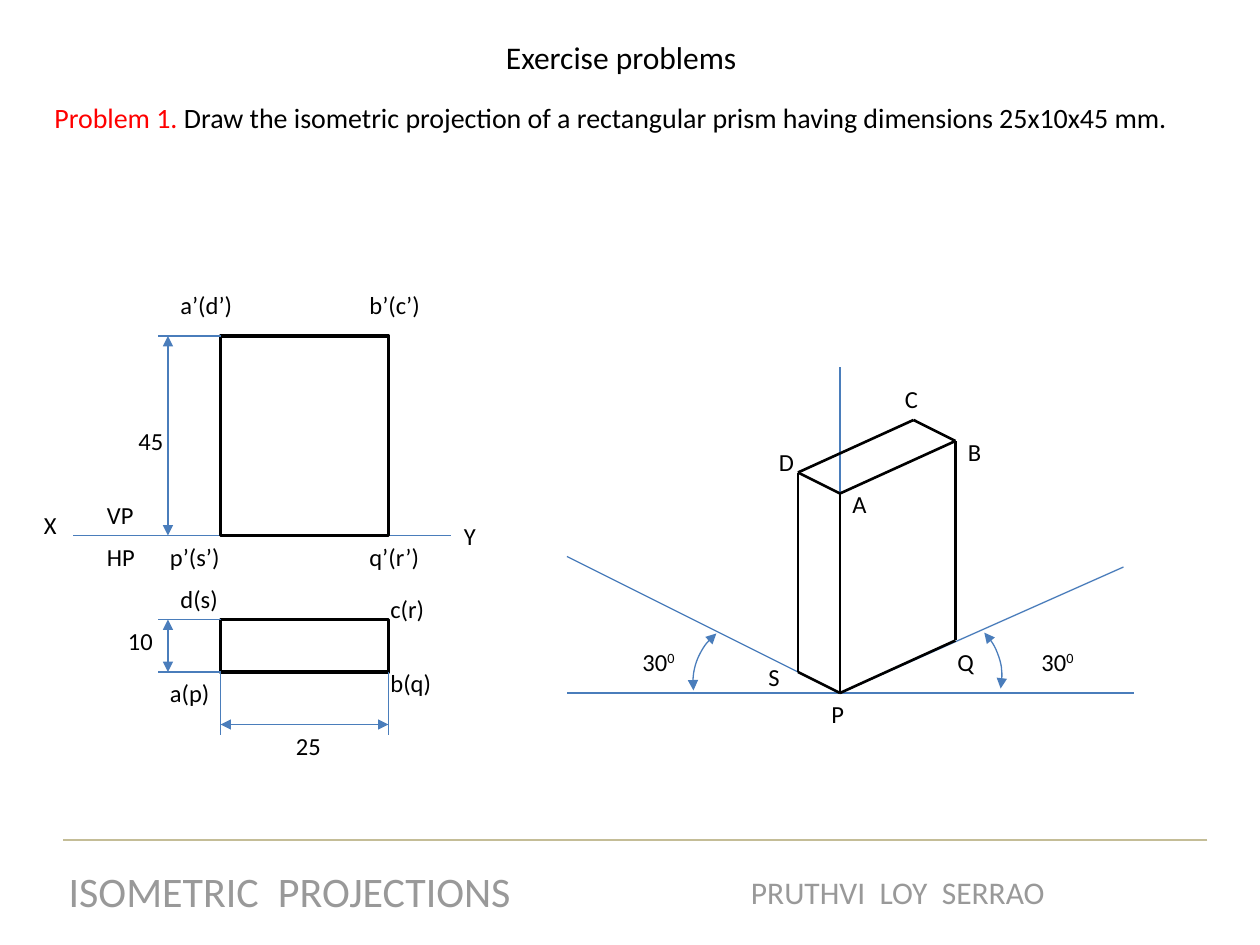
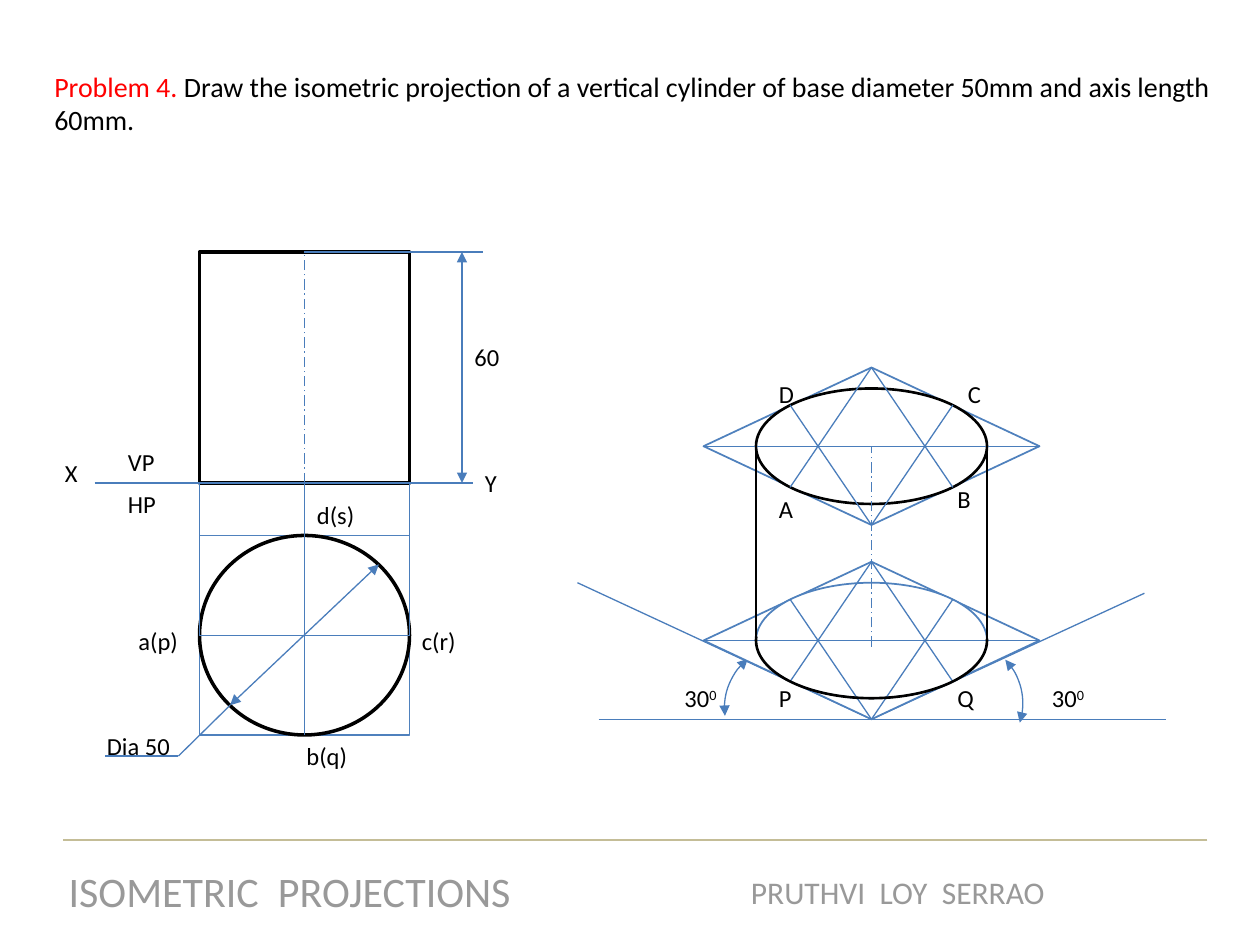
from dataclasses import dataclass

from lxml.etree import SubElement
from pptx import Presentation
from pptx.dml.color import RGBColor
from pptx.enum.dml import MSO_LINE
from pptx.enum.shapes import MSO_CONNECTOR, MSO_SHAPE
from pptx.enum.text import PP_ALIGN
from pptx.oxml.ns import qn
from pptx.shapes.base import BaseShape
from pptx.slide import Slide
from pptx.util import Pt

Point = tuple[float, float]
Frame = tuple[float, float, float, float]

COLORS = {
    "ink": "000000",
    "paper": "FFFFFF",
    "guide": "4A7DBB",
    "outline": "4F81BD",
    "problem": "FF0000",
    "footer": "999999",
    "footer_rule": "C4BD97",
}
FONT = "Calibri"
LABEL_HEIGHT = 24.5


@dataclass(frozen=True)
class Span:
    text: str
    color: str = "ink"
    raised: bool = False
    spacing: float = 0


@dataclass(frozen=True)
class Label:
    text: str
    left: float
    top: float
    width: float = 24
    raised: str = ""


@dataclass(frozen=True)
class Line:
    start: Point
    end: Point
    color: str = "guide"
    weight: float = 0.75
    arrows: bool = False
    dashed: bool = False


@dataclass(frozen=True)
class Figure:
    kind: MSO_SHAPE
    frame: Frame
    color: str = "ink"
    weight: float = 2


@dataclass(frozen=True)
class Arc:
    frame: Frame
    start: float
    end: float
    rotation: float = 0
    color: str = "guide"
    weight: float = 0.75
    arrows: bool = True


def rgb(name: str) -> RGBColor:
    return RGBColor.from_string(COLORS[name])


def style_line(shape: BaseShape, color: str, weight: float, arrows: bool = False) -> None:
    shape.line.color.rgb = rgb(color)
    shape.line.width = Pt(weight)
    if arrows:
        outline = shape._element.spPr.find(qn("a:ln"))
        for end in ("a:headEnd", "a:tailEnd"):
            SubElement(outline, qn(end), type="triangle")


def draw_text(page: Slide, frame: Frame, spans: list[Span], size: float,
              align: PP_ALIGN = PP_ALIGN.LEFT) -> None:
    box = page.shapes.add_textbox(*map(Pt, frame))
    box.text_frame.word_wrap = True
    para = box.text_frame.paragraphs[0]
    para.alignment = align
    for span in spans:
        run = para.add_run()
        run.text = span.text
        run.font.name = FONT
        run.font.size = Pt(size)
        run.font.color.rgb = rgb(span.color)
        properties = run._r.get_or_add_rPr()
        if span.raised:
            properties.set("baseline", "30000")
        if span.spacing:
            properties.set("spc", str(round(span.spacing * 100)))


def draw_labels(page: Slide, labels: list[Label]) -> None:
    for label in labels:
        spans = [Span(label.text)]
        if label.raised:
            spans.append(Span(label.raised, raised=True))
        draw_text(page, (label.left, label.top, label.width, LABEL_HEIGHT), spans, 14)


def draw_lines(page: Slide, lines: list[Line]) -> None:
    for line in lines:
        connector = page.shapes.add_connector(
            MSO_CONNECTOR.STRAIGHT, *map(Pt, line.start + line.end))
        style_line(connector, line.color, line.weight)
        if line.dashed:
            connector.line.dash_style = MSO_LINE.LONG_DASH_DOT
        if line.arrows:
            style_line(connector, line.color, line.weight, arrows=True)
        SubElement(connector._element.spPr, qn("a:effectLst"))


def draw_figures(page: Slide, figures: list[Figure]) -> None:
    for figure in figures:
        shape = page.shapes.add_shape(figure.kind, *map(Pt, figure.frame))
        shape.shadow.inherit = False
        shape.fill.solid()
        shape.fill.fore_color.rgb = rgb("paper")
        style_line(shape, figure.color, figure.weight)


def draw_arcs(page: Slide, arcs: list[Arc]) -> None:
    for arc in arcs:
        shape = page.shapes.add_shape(MSO_SHAPE.ARC, *map(Pt, arc.frame))
        shape.shadow.inherit = False
        shape.fill.background()
        shape.rotation = arc.rotation
        for index, degrees in enumerate((arc.start, arc.end)):
            shape.adjustments[index] = degrees * 0.6
        style_line(shape, arc.color, arc.weight, arc.arrows)


def draw_problem(page: Slide, frame: Frame, number: int, task: str) -> None:
    draw_text(page, frame, [Span(f"Problem {number}. ", "problem"), Span(task)], 16)


def draw_footer_text(page: Slide, frame: Frame, text: str, size: float) -> None:
    spans = []
    for word in text.split():
        if spans:
            spans.append(Span(" ", "footer", spacing=size * 0.226))
        spans.append(Span(word, "footer"))
    draw_text(page, frame, spans, size, PP_ALIGN.CENTER)


def draw_footer(page: Slide) -> None:
    draw_lines(page, [Line((690, 480), (36, 480), "footer_rule")])
    draw_footer_text(page, (31, 491, 269, 36), "ISOMETRIC PROJECTIONS", 24)
    draw_footer_text(page, (421, 495.5, 184, 29), "PRUTHVI LOY SERRAO", 18)


def draw_prism(page: Slide) -> None:
    p, q, s = (480, 396), (546, 366), (456, 384)
    a, b, c, d = (480, 282), (546, 252), (522, 240), (456, 270)
    edges = [(p, q), (p, s), (p, a), (q, b), (s, d), (a, b), (d, c), (a, d), (b, c)]
    draw_lines(page, [
        Line(p, (642, 324)),
        Line((324, 396), (648, 396)),
        Line(p, (324, 318)),
        Line(p, (480, 210)),
    ])
    draw_arcs(page, [
        Arc((500.5, 350.5, 72, 72), 277.18, 332.24, 39),
        Arc((396, 354, 72, 72), 262.79, 321.09, 270),
    ])
    draw_lines(page, [Line(start, end, "ink", 1.5) for start, end in edges])
    draw_labels(page, [
        Label("30", 360, 366, 35, "0"),
        Label("30", 588, 366, 35, "0"),
        Label("A", 480, 276),
        Label("B", 546, 246),
        Label("C", 510, 216),
        Label("D", 438, 252),
        Label("P", 468, 396),
        Label("Q", 540, 366),
        Label("S", 432, 374.5),
    ])


def draw_prism_views(page: Slide) -> None:
    left, right, top, ground, back, front = 126, 222, 192, 306, 354, 384
    draw_lines(page, [Line((42, ground), (258, ground))])
    draw_figures(page, [
        Figure(MSO_SHAPE.RECTANGLE, (left, back, right - left, front - back)),
        Figure(MSO_SHAPE.RECTANGLE, (left, top, right - left, ground - top)),
    ])
    draw_lines(page, [Line((left, y), (90, y)) for y in (back, front, top)])
    draw_lines(page, [Line((x, front), (x, 420)) for x in (left, right)])
    draw_lines(page, [
        Line((96, top), (96, ground), arrows=True),
        Line((left, 414), (right, 414), arrows=True),
        Line((96, back), (96, front), arrows=True),
    ])
    draw_labels(page, [
        Label("X", 18, 288),
        Label("Y", 258, 294),
        Label("VP", 54, 282, 31),
        Label("HP", 54, 306, 32),
        Label("25", 162, 414, 30),
        Label("10", 66, 354, 30),
        Label("45", 72, 240, 30),
        Label("a(p)", 90, 384, 40),
        Label("c(r)", 216, 336, 57),
        Label("b(q)", 216, 378, 40),
        Label("d(s)", 96, 330, 37),
        Label("p’(s’)", 90, 306, 63),
        Label("a’(d’)", 96, 162, 66),
        Label("q’(r’)", 204, 306, 44),
        Label("b’(c’)", 204, 162, 57),
    ])


def draw_cylinder_views(page: Slide) -> None:
    left, axis, right, top, ground = 114, 174, 234, 144, 276
    plan_top, plan_middle, plan_bottom = 306, 363, 420
    plan = (left, plan_top, right - left, plan_bottom - plan_top)
    draw_figures(page, [
        Figure(MSO_SHAPE.RECTANGLE, plan, "outline", 1),
        Figure(MSO_SHAPE.RECTANGLE, (left, top, right - left, ground - top)),
        Figure(MSO_SHAPE.OVAL, plan),
    ])
    draw_lines(page, [
        Line((54, ground), (270, ground)),
        Line((left, plan_middle), (right, plan_middle)),
        Line((axis, ground), (axis, plan_bottom)),
        Line((left, plan_middle), (left, ground)),
        Line((right, plan_middle), (right, ground)),
        Line((axis, ground), (axis, top), dashed=True),
        Line((axis, top), (276, top)),
        Line((264, top), (264, ground), arrows=True),
        Line((131.5, 403), (216.5, 322.5), arrows=True),
        Line((131.5, 403), (102, 432)),
        Line((102, 432), (60, 432)),
    ])
    draw_labels(page, [
        Label("X", 30, 258),
        Label("Y", 270, 264),
        Label("VP", 66, 252, 31),
        Label("HP", 66, 276, 32),
        Label("60", 264, 192, 30),
        Label("Dia 50", 54, 414, 72),
        Label("a(p)", 72, 354, 40),
        Label("b(q)", 168, 420, 40),
        Label("d(s)", 174, 282, 38),
        Label("c(r)", 234, 354, 47),
    ])


def draw_isometric_circle(page: Slide, top: float, color: str, weight: float) -> None:
    left, center, right, bottom, middle = 402, 498, 594, top + 90, top + 45
    draw_figures(page, [
        Figure(MSO_SHAPE.DIAMOND, (left, top, right - left, 90), "outline", 1),
        Figure(MSO_SHAPE.OVAL, (432, top + 12, 132, 66), color, weight),
    ])
    draw_lines(page, [
        Line((center + side * 46.5, middle + rise * 23.5), (center, apex))
        for rise, apex in ((-1, bottom), (1, top)) for side in (-1, 1)
    ])
    draw_lines(page, [Line((left, middle), (right, middle))])


def draw_cylinder(page: Slide) -> None:
    origin, top_face, base_face = (498, 411), 210, 321
    top_middle, base_middle = top_face + 45, base_face + 45
    draw_lines(page, [
        Line(origin, (654, 339)),
        Line((342, 411), (666, 411)),
        Line(origin, (330, 333)),
    ])
    draw_arcs(page, [
        Arc((512.5, 366, 72, 72), 277.18, 338.86, 39),
        Arc((414, 368.5, 72, 72), 262.79, 321.09, 270),
    ])
    draw_isometric_circle(page, top_face, "ink", 1.5)
    draw_isometric_circle(page, base_face, "outline", 1)
    draw_lines(page, [Line((498, 369.5), (498, top_middle), dashed=True)])
    draw_lines(page, [
        Line((x, top_middle), (x, base_middle), "ink", 1.5) for x in (432, 564)
    ])
    draw_arcs(page, [
        Arc((432, base_face + 12, 132, 66), 359.17, 181.93,
            color="ink", weight=1.5, arrows=False),
    ])
    draw_labels(page, [
        Label("30", 384, 387, 35, "0"),
        Label("30", 594, 387, 35, "0"),
        Label("A", 438, 279),
        Label("B", 540, 273),
        Label("D", 438, 213),
        Label("C", 546, 213),
        Label("P", 438, 387),
        Label("Q", 540, 387),
    ])


def main() -> None:
    deck = Presentation()
    deck.slide_width, deck.slide_height = Pt(720), Pt(540)
    blank = deck.slide_layouts[6]

    prism_page = deck.slides.add_slide(blank)
    draw_problem(prism_page, (24, 54, 696, 27), 1,
                 "Draw the isometric projection of a rectangular prism "
                 "having dimensions 25x10x45 mm.")
    draw_text(prism_page, (282, 18, 348, 29), [Span("Exercise problems")], 18)
    draw_prism(prism_page)
    draw_prism_views(prism_page)
    draw_footer(prism_page)

    cylinder_page = deck.slides.add_slide(blank)
    draw_problem(cylinder_page, (24, 36, 678, 46), 4,
                 "Draw the isometric projection of a vertical cylinder "
                 "of base diameter 50mm and axis length 60mm.")
    draw_cylinder_views(cylinder_page)
    draw_cylinder(cylinder_page)
    draw_footer(cylinder_page)

    deck.save("out.pptx")


if __name__ == "__main__":
    main()
